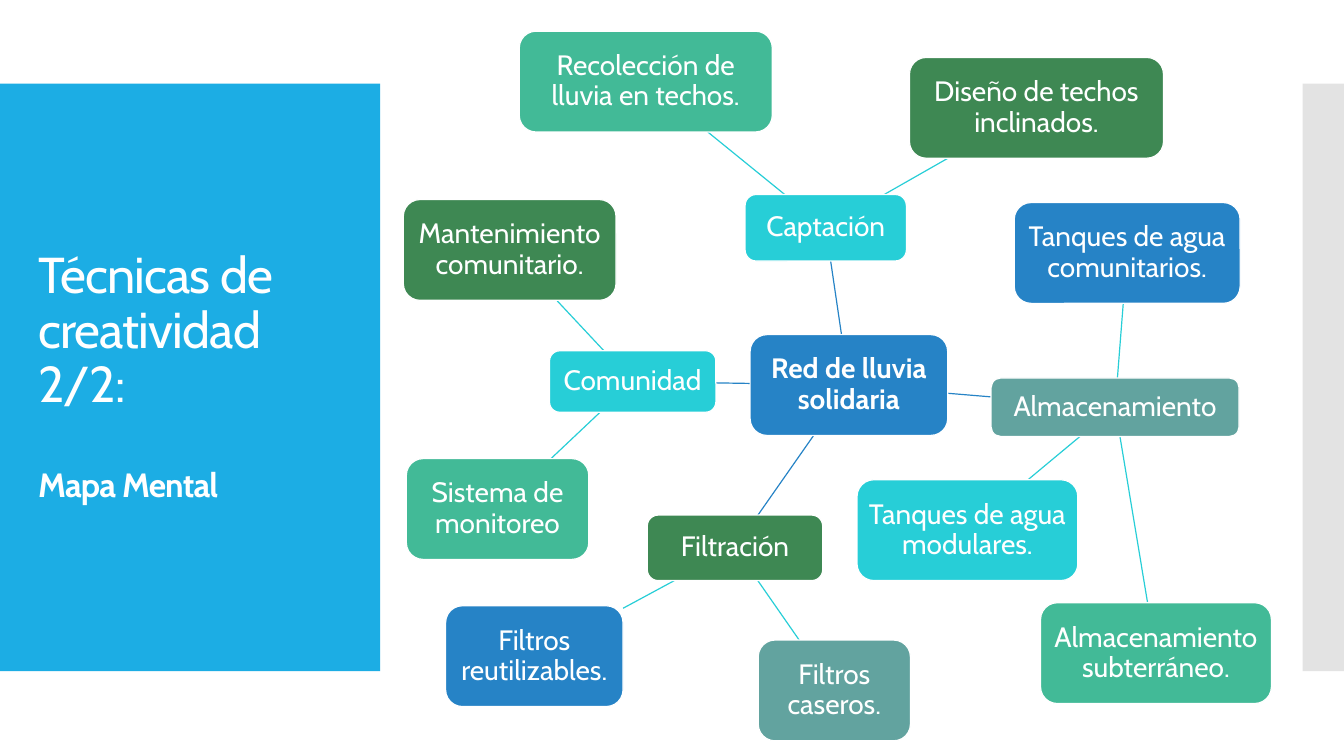
from dataclasses import dataclass

from lxml.etree import SubElement
from pptx import Presentation
from pptx.dml.color import RGBColor
from pptx.enum.shapes import MSO_CONNECTOR as Connector, MSO_SHAPE as Shape
from pptx.enum.text import MSO_ANCHOR as Anchor, PP_ALIGN as Align
from pptx.oxml.ns import qn
from pptx.util import Inches, Pt

# The grid has square cells, one inch a side
CELL = Inches(1)
COLUMNS, ROWS = 13.33, 7.5
PANEL_TOP, PANEL_ROWS = 0.83, 5.83
LEAF_ROWS = 1
FONT = "Cabin"
LINE_WIDTH = Pt(0.85)

COLOURS = {
    "white": "FFFFFF",
    "sky": "1CADE4",
    "grey": "C8C8C8",
    "blue": "2683C6",
    "cyan": "27CED7",
    "mint": "42BA97",
    "green": "3E8853",
    "teal": "62A39F",
}


@dataclass
class Node:
    text: str
    colour: str
    left: float
    top: float
    width: float
    height: float = LEAF_ROWS
    children: tuple = ()

    @property
    def centre(self):
        return self.left + self.width / 2, self.top + self.height / 2


MIND_MAP = Node("Red de lluvia solidaria", "blue", 7.44, 3.32, 1.96, 1, (
    Node("Captación", "cyan", 7.39, 1.93, 1.6, 0.66, (
        Node("Recolección de lluvia en techos.", "mint", 5.15, 0.31, 2.51),
        Node("Diseño de techos inclinados.", "green", 9.02, 0.57, 2.52),
    )),
    Node("Almacenamiento", "teal", 9.83, 3.75, 2.46, 0.58, (
        Node("Tanques de agua comunitarios.", "blue", 10.06, 2.01, 2.24),
        Node("Tanques de agua modulares.", "cyan", 8.5, 4.76, 2.19),
        Node("Almacenamiento subterráneo.", "mint", 10.32, 5.98, 2.29),
    )),
    Node("Filtración", "green", 6.42, 5.11, 1.74, 0.65, (
        Node("Filtros caseros.", "teal", 7.52, 6.35, 1.51),
        Node("Filtros reutilizables.", "blue", 4.42, 6.01, 1.76),
    )),
    Node("Comunidad", "cyan", 5.45, 3.48, 1.65, 0.61, (
        Node("Sistema de monitoreo", "mint", 4.03, 4.55, 1.81),
        Node("Mantenimiento comunitario.", "green", 4, 1.98, 2.11),
    )),
))


def cells(*lengths):
    return [round(length * CELL) for length in lengths]


def rgb(name):
    return RGBColor.from_string(COLOURS[name])


def write(paragraph, text, size=20, bold=False, align=Align.LEFT,
          before=0, tracking=0):
    paragraph.alignment = align
    paragraph.line_spacing = 0.9
    if before:
        paragraph.space_before = Pt(before)
    run = paragraph.add_run()
    run.text = text
    run.font.name = FONT
    run.font.size = Pt(size)
    run.font.bold = bold
    run.font.color.rgb = rgb("white")
    if tracking:
        run.font._element.set("spc", str(round(tracking * 100)))


def add_block(slide, kind, colour, left, top, width, height):
    shape = slide.shapes.add_shape(kind, *cells(left, top, width, height))
    shape.shadow.inherit = False
    shape.fill.solid()
    shape.fill.fore_color.rgb = rgb(colour)
    shape.line.fill.background()
    return shape


def add_panels(slide):
    add_block(slide, Shape.RECTANGLE, "sky", 0, PANEL_TOP, 3.77, PANEL_ROWS)
    strip = add_block(slide, Shape.RECTANGLE, "grey",
                      COLUMNS - 0.41, PANEL_TOP, 0.41, PANEL_ROWS)
    colour = strip.fill._xPr.find(qn("a:solidFill"))[0]
    SubElement(colour, qn("a:alpha"), val="50000")


def add_title(slide):
    box = slide.shapes.add_textbox(*cells(0.28, 1.23, 3.22, 5.03))
    frame = box.text_frame
    frame.word_wrap = True
    frame.vertical_anchor = Anchor.MIDDLE
    write(frame.paragraphs[0], "Técnicas de creatividad 2/2:",
          size=36, tracking=-0.6)
    write(frame.add_paragraph(), "Mapa Mental",
          size=24, bold=True, before=39, tracking=-0.6)


def edge_point(node, target):
    """Where the line between two centres leaves the first node."""
    x, y = node.centre
    run, rise = target.centre[0] - x, target.centre[1] - y
    share = 1 / max(abs(run) * 2 / node.width, abs(rise) * 2 / node.height)
    return x + run * share, y + rise * share


def add_link(slide, parent, child, colour):
    ends = edge_point(parent, child) + edge_point(child, parent)
    link = slide.shapes.add_connector(Connector.STRAIGHT, *cells(*ends))
    link.line.color.rgb = rgb(colour)
    link.line.width = LINE_WIDTH
    SubElement(link._element.spPr, qn("a:effectLst"))


def add_node(slide, node, bold=False):
    shape = add_block(slide, Shape.ROUNDED_RECTANGLE, node.colour,
                      node.left, node.top, node.width, node.height)
    shape.line.color.rgb = rgb("white")
    shape.line.width = LINE_WIDTH
    frame = shape.text_frame
    frame.word_wrap = True
    frame.vertical_anchor = Anchor.MIDDLE
    frame.margin_left = frame.margin_right = Inches(0.06)
    frame.margin_top = frame.margin_bottom = Inches(0.06)
    write(frame.paragraphs[0], node.text, bold=bold, align=Align.CENTER)


def add_branch(slide, node, is_root=False):
    for child in node.children:
        add_link(slide, node, child, "blue" if is_root else "cyan")
        add_branch(slide, child)
    add_node(slide, node, bold=is_root)


def main():
    presentation = Presentation()
    presentation.slide_width, presentation.slide_height = cells(COLUMNS, ROWS)
    slide = presentation.slides.add_slide(presentation.slide_layouts[6])
    add_panels(slide)
    add_title(slide)
    add_branch(slide, MIND_MAP, is_root=True)
    presentation.save("out.pptx")


if __name__ == "__main__":
    main()
